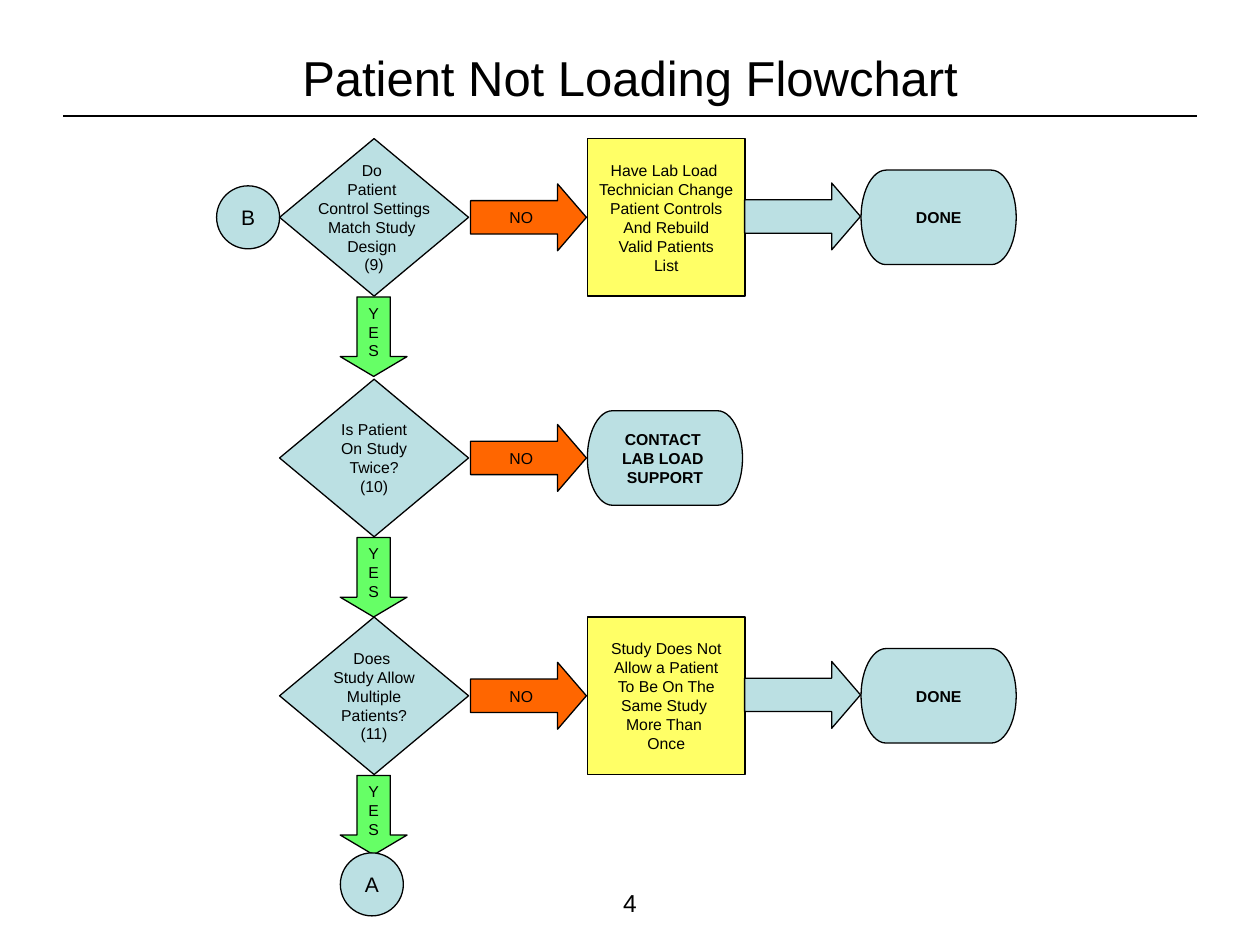
from lxml import etree
from pptx import Presentation
from pptx.dml.color import RGBColor
from pptx.enum.shapes import MSO_CONNECTOR, MSO_SHAPE as Preset
from pptx.enum.text import MSO_ANCHOR, MSO_AUTO_SIZE, PP_ALIGN
from pptx.oxml.ns import qn
from pptx.util import Pt

# Content: each row is a question, its answer to NO, and an optional end state
TITLE = "Patient Not Loading Flowchart"
PAGE_NUMBER = "4"
ENTRY, EXIT = "B", "A"
ROWS = [
    {"question": ["Do ", "Patient ", "Control Settings", "Match Study ", "Design ", "(9)"],
     "action": ["Have Lab Load ", "Technician Change", "Patient Controls",
                "And Rebuild", "Valid Patients", "List"],
     "end": ["DONE"]},
    {"question": ["Is Patient", "On Study", "Twice?", "(10)"],
     "end": ["CONTACT ", "LAB LOAD ", "SUPPORT"]},
    {"question": ["Does ", "Study Allow", "Multiple", "Patients?", "(11)"],
     "action": ["Study Does Not", "Allow a Patient", "To Be On The",
                "Same Study ", "More Than ", "Once"],
     "end": ["DONE"]},
]

# Layout in points: row centres and the left edge of each column
ROW_CENTRES = [124.2, 261.7, 397.6]
ENTRY_LEFT, QUESTION_LEFT, NO_LEFT = 123.8, 159.8, 268.9
ANSWER_LEFT, NEXT_LEFT, END_LEFT = 335.7, 425.5, 492.1
QUESTION_SIZE, ACTION_SIZE, END_SIZE = (108, 90), (90, 90), (88.6, 54)
ARROW_SIZE, YES_SIZE, CIRCLE_SIZE = (66.2, 38.2), (45.4, 38.2), (36, 36)
YES_DROP = 68.2
YES_CENTRE = QUESTION_LEFT + QUESTION_SIZE[0] / 2 - 0.3
EXIT_CENTRE = 505.4

# Style
FONT = "Arial"
BLACK, BLUE, YELLOW, ORANGE, GREEN = "000000", "BBE0E3", "FFFF66", "FF6600", "66FF66"


def colour(hex_value):
    return RGBColor.from_string(hex_value)


def format_text(text_frame, size, bold=False):
    for paragraph in text_frame.paragraphs:
        paragraph.alignment = PP_ALIGN.CENTER
        for run in paragraph.runs:
            run.font.name = FONT
            run.font.size = Pt(size)
            run.font.bold = bold
            run.font.color.rgb = colour(BLACK)


def add_box(preset, left, centre, box_size, fill, lines=(), size=9, bold=False):
    width, height = box_size
    shape = slide.shapes.add_shape(
        preset, Pt(left), Pt(centre - height / 2), Pt(width), Pt(height))
    shape.shadow.inherit = False
    shape.fill.solid()
    shape.fill.fore_color.rgb = colour(fill)
    shape.line.color.rgb = colour(BLACK)
    shape.line.width = Pt(0.75)
    if lines:
        text_frame = shape.text_frame
        text_frame.text = "\n".join(lines)
        text_frame.word_wrap = False
        text_frame.vertical_anchor = MSO_ANCHOR.MIDDLE
        format_text(text_frame, size, bold)
    return shape


def add_arrow(left, centre, fill, lines=(), arrow_size=ARROW_SIZE, head=0.431):
    arrow = add_box(Preset.RIGHT_ARROW, left, centre, arrow_size, fill, lines)
    arrow.adjustments[0] = 0.5
    arrow.adjustments[1] = head
    return arrow


def add_yes_arrow(centre):
    left = YES_CENTRE - YES_SIZE[0] / 2
    arrow = add_arrow(left, centre, GREEN, ["\v".join("YES")], YES_SIZE, 0.296)
    arrow.rotation = 90
    text_frame = arrow.text_frame
    text_frame.margin_left = text_frame.margin_right = Pt(3.6)
    text_frame.margin_top = text_frame.margin_bottom = Pt(7.2)
    # Turn the text back upright inside the rotated arrow
    text_frame._txBody.bodyPr.set("vert", "vert270")


presentation = Presentation()
presentation.slide_width, presentation.slide_height = Pt(720), Pt(540)
slide = presentation.slides.add_slide(presentation.slide_layouts[5])

# Title and the rule below it
title = slide.shapes.title
title.left, title.top, title.width, title.height = Pt(36), Pt(21.6), Pt(648), Pt(44.6)
title.text_frame.text = TITLE
title.text_frame.auto_size = MSO_AUTO_SIZE.NONE
title.text_frame.vertical_anchor = MSO_ANCHOR.MIDDLE
format_text(title.text_frame, 28)

rule = slide.shapes.add_connector(
    MSO_CONNECTOR.STRAIGHT, Pt(36), Pt(66.2), Pt(684), Pt(66.2))
rule.line.color.rgb = colour(BLACK)
rule.line.width = Pt(1.25)
etree.SubElement(rule._element.spPr, qn("a:effectLst"))

# Flowchart rows
add_box(Preset.FLOWCHART_CONNECTOR, ENTRY_LEFT, ROW_CENTRES[0], CIRCLE_SIZE, BLUE, [ENTRY], 12)
for row, centre in zip(ROWS, ROW_CENTRES):
    add_box(Preset.FLOWCHART_DECISION, QUESTION_LEFT, centre, QUESTION_SIZE, BLUE, row["question"])
    add_arrow(NO_LEFT, centre, ORANGE, ["NO"])
    end_left = ANSWER_LEFT
    if "action" in row:
        add_box(Preset.FLOWCHART_PROCESS, ANSWER_LEFT, centre, ACTION_SIZE, YELLOW, row["action"])
        add_arrow(NEXT_LEFT, centre - 0.5, BLUE)
        end_left = END_LEFT
    add_box(Preset.FLOWCHART_TERMINATOR, end_left, centre, END_SIZE, BLUE, row["end"], bold=True)
    add_yes_arrow(centre + YES_DROP)
add_box(Preset.FLOWCHART_CONNECTOR, YES_CENTRE - CIRCLE_SIZE[0] / 2 - 1, EXIT_CENTRE,
        CIRCLE_SIZE, BLUE, [EXIT], 12)

# Page number
page_number = slide.shapes.add_textbox(Pt(276), Pt(504), Pt(168), Pt(25.2))
page_number.text_frame.word_wrap = True
page_number.text_frame.text = PAGE_NUMBER
format_text(page_number.text_frame, 14)

presentation.save("out.pptx")
